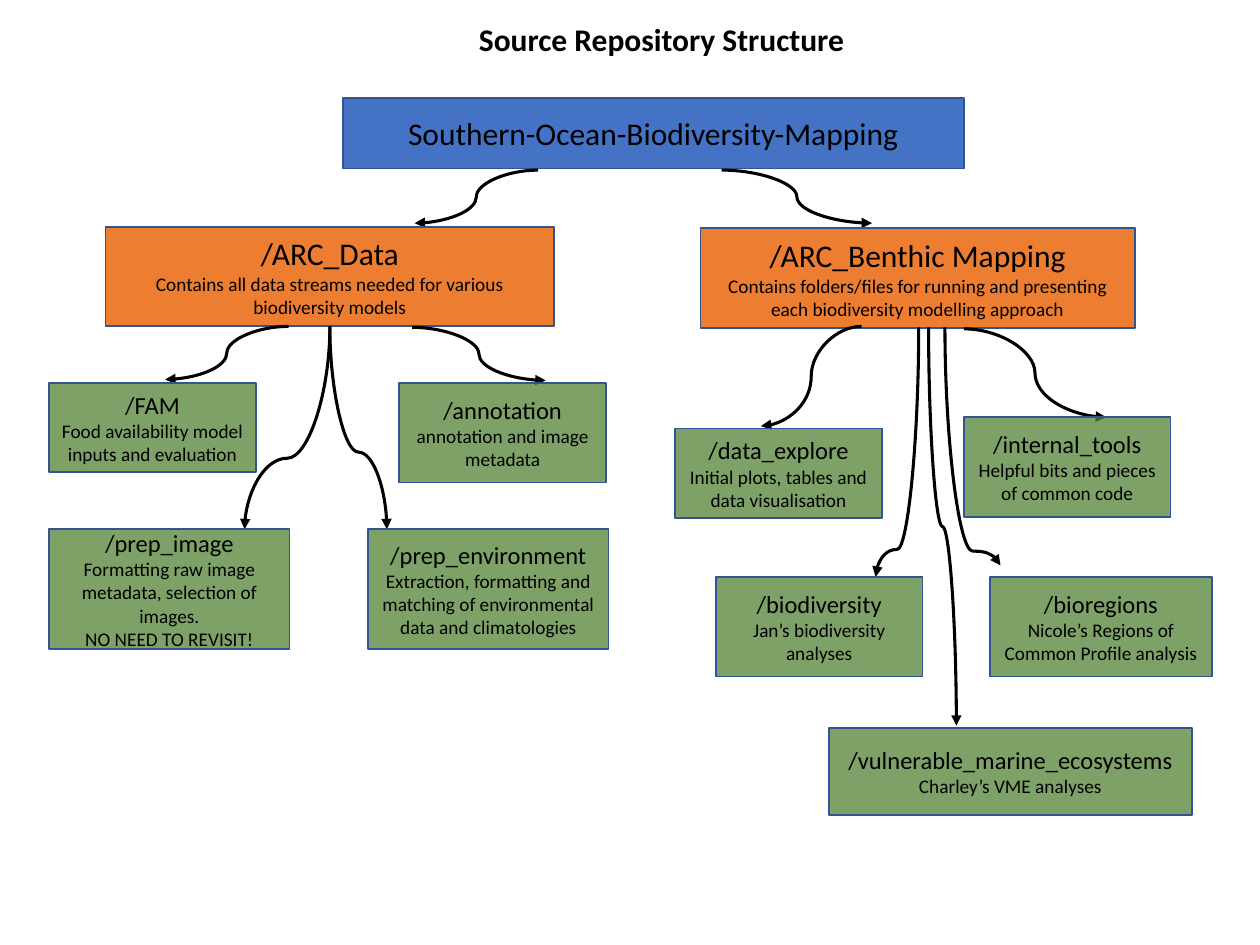
from dataclasses import dataclass

from lxml import etree
from pptx import Presentation
from pptx.dml.color import RGBColor
from pptx.enum.shapes import MSO_CONNECTOR, MSO_SHAPE
from pptx.enum.text import MSO_ANCHOR, MSO_AUTO_SIZE, PP_ALIGN
from pptx.oxml.ns import qn
from pptx.util import Cm, Pt

RECT = MSO_SHAPE.RECTANGLE
CURVE = MSO_CONNECTOR.CURVE
MIDDLE = MSO_ANCHOR.MIDDLE
NO_FIT = MSO_AUTO_SIZE.NONE
LEFT, CENTER = PP_ALIGN.LEFT, PP_ALIGN.CENTER


@dataclass(frozen=True)
class Theme:
    """Colours, type sizes and line widths of the slide."""
    font: str = "Calibri"
    ink: str = "000000"
    root: str = "4472C4"
    branch: str = "ED7D31"
    folder: str = "548235"
    border: str = "325491"
    folder_alpha: int = 75
    heading: int = 18
    name: int = 14
    note: int = 11
    border_width: float = 1
    arrow_width: float = 1.75


THEME = Theme()


def style_text(p, size, align=CENTER, bold=False):
    """Set the alignment and font of one paragraph."""
    p.alignment = align
    p.font.name = THEME.font
    p.font.size = Pt(size)
    p.font.bold = bold
    p.font.color.rgb = RGBColor.from_string(THEME.ink)


def add_box(slide, box, color, name, name_size, notes=(), alpha=100):
    """Add a filled rectangle with a name and smaller notes below it."""
    sp = slide.shapes.add_shape(RECT, *(Cm(v) for v in box))
    sp.shadow.inherit = False
    sp.fill.solid()
    sp.fill.fore_color.rgb = RGBColor.from_string(color)
    if alpha < 100:
        clr = sp.fill._xPr.find(".//" + qn("a:srgbClr"))
        etree.SubElement(clr, qn("a:alpha"), val=str(alpha * 1000))
    sp.line.color.rgb = RGBColor.from_string(THEME.border)
    sp.line.width = Pt(THEME.border_width)
    tf = sp.text_frame
    tf.word_wrap = True
    tf.vertical_anchor = MIDDLE
    tf.text = "\n".join((name, *notes))
    for i, p in enumerate(tf.paragraphs):
        style_text(p, THEME.note if i else name_size)


def add_arrow(slide, x1, y1, x2, y2, bend=None):
    """Add a curved arrow; with a bend it leaves and arrives vertically."""
    rot = 0
    if bend is not None:
        rot = 90 if x2 < x1 else 270
        cx, cy = (x1 + x2) / 2, (y1 + y2) / 2
        half_w, half_h = (y2 - y1) / 2, abs(x2 - x1) / 2
        if rot == 270:
            half_w = -half_w
        x1, y1, x2, y2 = cx - half_w, cy - half_h, cx + half_w, cy + half_h
    cxn = slide.shapes.add_connector(CURVE, Cm(x1), Cm(y1), Cm(x2), Cm(y2))
    cxn.line.color.rgb = RGBColor.from_string(THEME.ink)
    cxn.line.width = Pt(THEME.arrow_width)
    sp_pr = cxn._element.spPr
    if bend is not None:
        sp_pr.find(qn("a:xfrm")).set("rot", str(rot * 60000))
        guides = sp_pr.find(".//" + qn("a:avLst"))
        etree.SubElement(guides, qn("a:gd"), name="adj1",
                         fmla=f"val {round(bend * 100000)}")
    etree.SubElement(sp_pr.find(qn("a:ln")), qn("a:tailEnd"), type="triangle")
    etree.SubElement(sp_pr, qn("a:effectLst"))


def add_links(slide, x, y, links):
    """Add arrows whose ends are offsets from a region's corner."""
    for x1, y1, x2, y2, *bend in links:
        add_arrow(slide, x + x1, y + y1, x + x2, y + y2, *bend)


def add_title(slide, box, text):
    """Place and format the title placeholder."""
    sp = slide.shapes.title
    sp.left, sp.top, sp.width, sp.height = (Cm(v) for v in box)
    tf = sp.text_frame
    tf.text = text
    tf.word_wrap = False
    tf.auto_size = NO_FIT
    tf.vertical_anchor = MIDDLE
    style_text(tf.paragraphs[0], THEME.heading, LEFT, True)


def add_root(slide, box, name, links):
    """Add the repository box and the arrows to its branches."""
    add_box(slide, box, THEME.root, name, THEME.heading)
    add_links(slide, *box[:2], links)


def add_branch(slide, corner, heading, links, folders):
    """Add a branch heading, its arrows and its folders."""
    x, y = corner
    (dx, dy, w, h), name, note = heading
    add_box(slide, (x + dx, y + dy, w, h), THEME.branch, name,
            THEME.heading, (note,))
    add_links(slide, x, y, links)
    for (dx, dy, w, h), name, *notes in folders:
        add_box(slide, (x + dx, y + dy, w, h), THEME.folder, name,
                THEME.name, notes, THEME.folder_alpha)


def main():
    """Build the repository diagram."""
    prs = Presentation()
    prs.slide_width, prs.slide_height = Cm(25.4), Cm(19.05)
    slide = prs.slides.add_slide(prs.slide_layouts[5])
    add_title(slide, (9.4, 0.28, 7.95, 1.02), "Source Repository Structure")
    add_root(slide, (6.91, 1.98, 12.52, 1.42),
             "Southern-Ocean-Biodiversity-Mapping",
             [(3.94, 1.45, 1.45, 2.52), (7.64, 1.45, 10.67, 2.52)])
    add_branch(
        slide, (0.99, 4.57),
        ((1.14, 0, 9.04, 2.01), "/ARC_Data",
         "Contains all data streams needed for various biodiversity models"),
        [(4.83, 2.01, 2.34, 3.08),
         (5.66, 2.01, 3.94, 6.1, 0.65),
         (5.66, 2.01, 6.81, 6.1, 0.62),
         (7.32, 2.03, 10.01, 3.1)],
        [((0, 3.15, 4.17, 1.8), "/FAM",
          "Food availability model inputs and evaluation"),
         ((7.06, 3.15, 4.17, 2.01), "/annotation",
          "annotation and image metadata"),
         ((0, 6.1, 4.85, 2.41), "/prep_image",
          "Formatting raw image metadata, selection of images.",
          "NO NEED TO REVISIT!"),
         ((6.43, 6.1, 4.85, 2.41), "/prep_environment",
          "Extraction, formatting and matching of environmental data "
          "and climatologies")])
    add_branch(
        slide, (13.61, 4.6),
        ((0.51, 0, 8.76, 2.01), "/ARC_Benthic Mapping",
         "Contains folders/files for running and presenting each "
         "biodiversity modelling approach"),
        [(3.76, 1.98, 1.73, 3.99),
         (4.91, 2, 4.04, 7.03, 0.89),
         (5.11, 2, 5.67, 10.03, 0.5),
         (5.44, 2, 6.56, 6.8, 0.94),
         (5.82, 2.03, 8.69, 3.81)],
        [((0, 4.04, 4.17, 1.8), "/data_explore",
          "Initial plots, tables and data visualisation"),
         ((5.82, 3.81, 4.17, 2.01), "/internal_tools",
          "Helpful bits and pieces of common code"),
         ((0.82, 7.03, 4.17, 2.01), "/biodiversity",
          "Jan’s biodiversity analyses"),
         ((6.35, 7.03, 4.47, 2.01), "/bioregions",
          "Nicole’s Regions of Common Profile analysis"),
         ((3.1, 10.08, 7.32, 1.75), "/vulnerable_marine_ecosystems",
          "Charley’s VME analyses")])
    prs.save("out.pptx")


if __name__ == "__main__":
    main()
